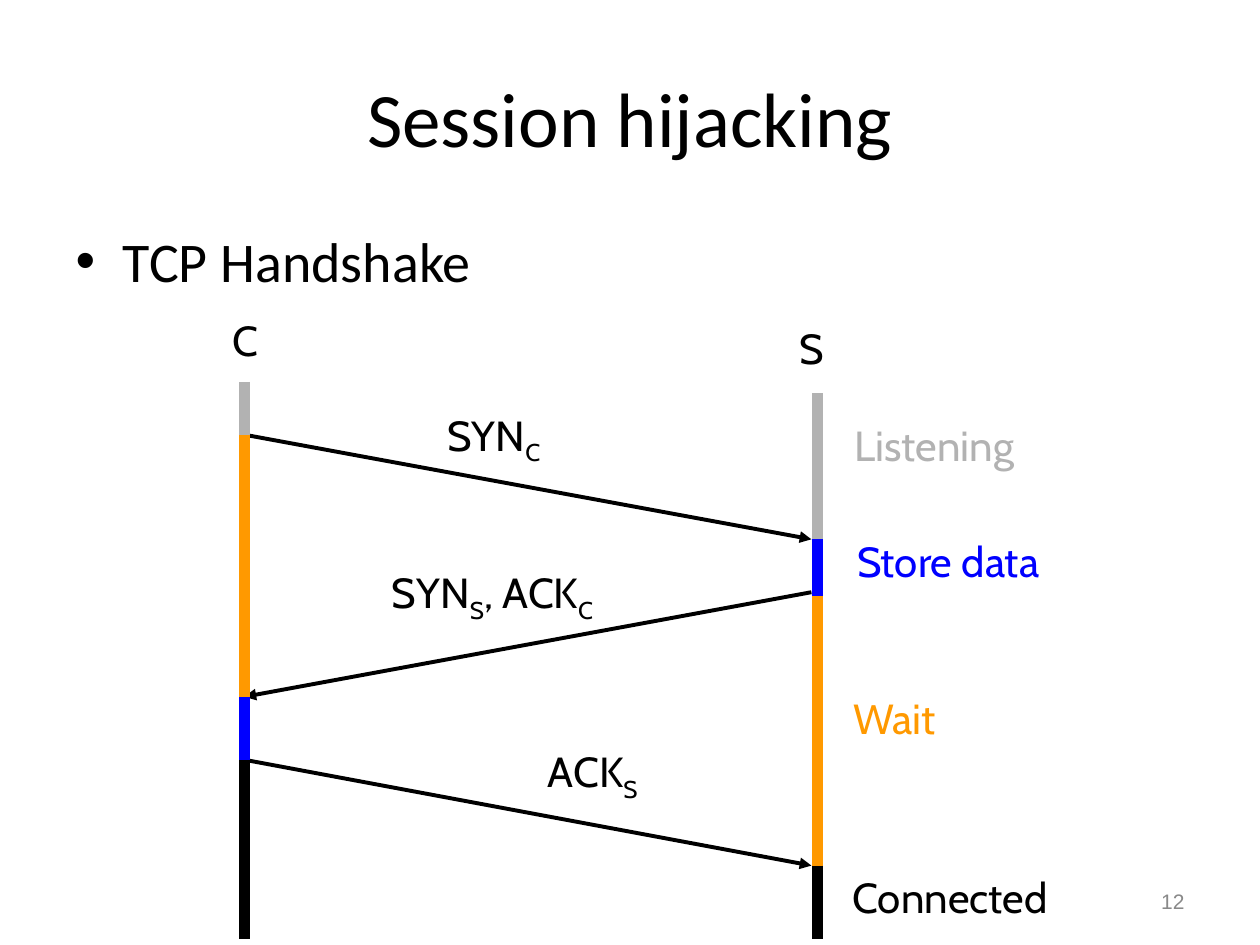
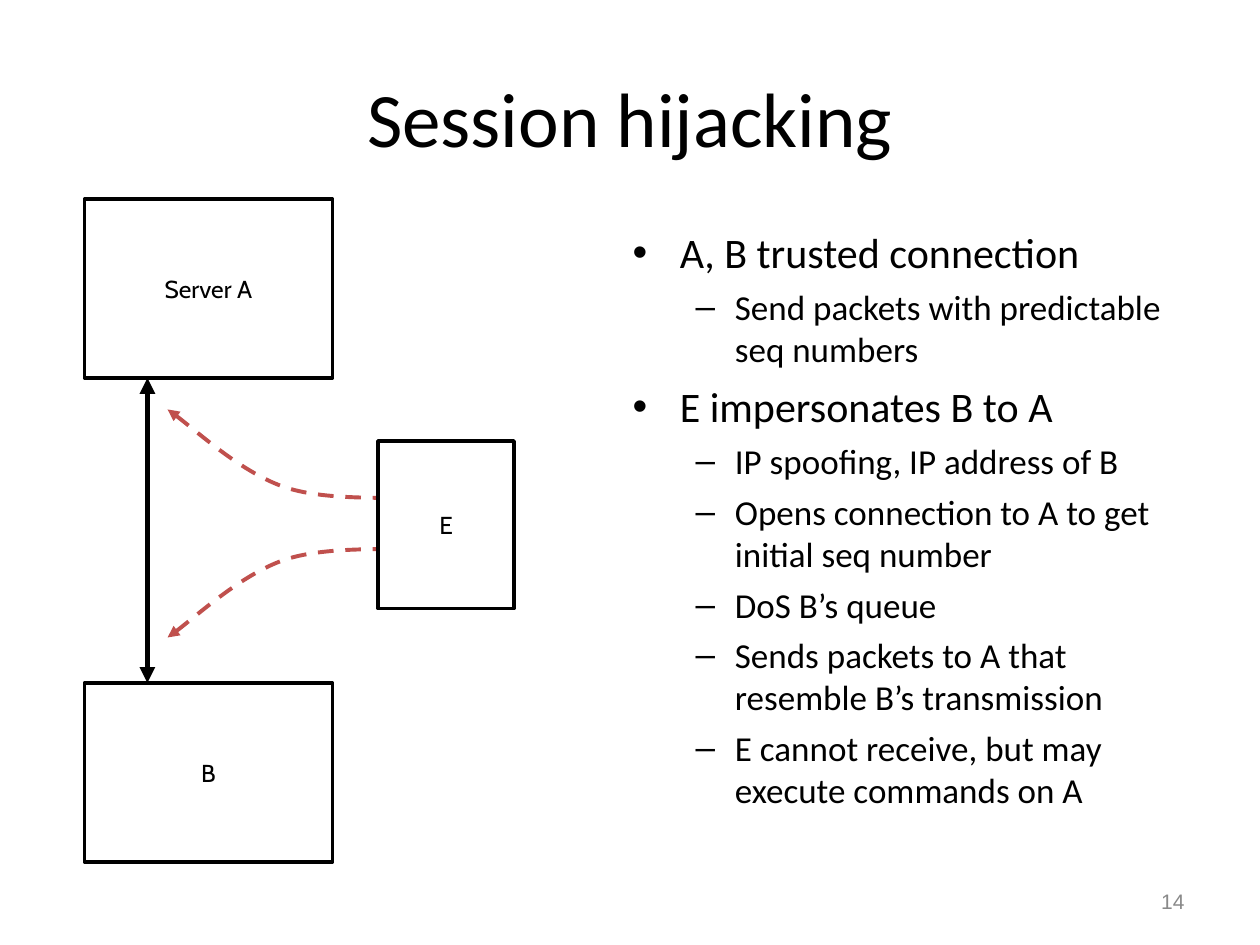
from lxml import etree
from pptx import Presentation
from pptx.dml import color as col
from pptx.enum import dml, shapes, text
from pptx.oxml import ns
from pptx.util import Inches, Pt

# Shared look; lengths are cells of a grid with 100 columns and 75 rows
WIDE, HIGH, CELL = 100, 75, 0.1
BLACK, WHITE, GREY = "000000", "FFFFFF", "898989"
IDLE, STORE, WAIT, RED = "B2B2B2", "0000FF", "FF9900", "C0504D"
HEAD, BODY, LABEL, FOOT = "Calibri", "Calibri", "Cabin", "Arial"
TITLE = (5, 3, 90, 12.5)
MID, LEFT, RIGHT = text.PP_ALIGN.CENTER, text.PP_ALIGN.LEFT, text.PP_ALIGN.RIGHT


def grid(*cells):
    return [Inches(round(c * CELL, 3)) for c in cells]


def rgb(code):
    return col.RGBColor.from_string(code)


def put(item, **vals):
    for key, val in vals.items():
        setattr(item, key, val)


def place(item, box):
    put(item, **dict(zip(("left", "top", "width", "height"), grid(*box))))


def style(run, size, face, code):
    put(run.font, size=Pt(size), name=face)
    run.font.color.rgb = rgb(code)


def write(para, words, size, face, code, align, gap=0):
    """Add the words; the letter after each underscore is a subscript."""
    put(para, alignment=align, space_before=Pt(gap))
    first, *rest = words.split("_")
    parts = [(first, False)]
    for part in rest:
        parts += [(part[0], True), (part[1:], False)]
    for part, low in parts:
        if part:
            run = para.add_run()
            run.text = part
            style(run, size, face, code)
            if low:
                run._r.get_or_add_rPr().set("baseline", "-25000")


def stroke(item, code, width, ends=(), dash=None):
    """Format a line; ends names its arrowheads, headEnd or tailEnd."""
    item.line.color.rgb = rgb(code)
    item.line.width = Pt(width)
    if dash:
        item.line.dash_style = dash
    props = item._element.spPr
    for end in ends:
        etree.SubElement(props.find(ns.qn("a:ln")), ns.qn("a:" + end), type="triangle")
    if props.find(ns.qn("a:effectLst")) is None:
        etree.SubElement(props, ns.qn("a:effectLst"))


def line(slide, start, stop, code, width, ends=()):
    item = slide.shapes.add_connector(
        shapes.MSO_CONNECTOR.STRAIGHT, *grid(*start, *stop))
    stroke(item, code, width, ends)


def label(slide, box, words, size=24, face=LABEL, code=BLACK, align=MID, gap=6):
    frame = slide.shapes.add_textbox(*grid(*box)).text_frame
    put(frame, word_wrap=False, vertical_anchor=text.MSO_ANCHOR.TOP)
    write(frame.paragraphs[0], words, size, face, code, align, gap)
    return frame


def block(slide, box, words):
    item = slide.shapes.add_shape(shapes.MSO_SHAPE.RECTANGLE, *grid(*box))
    item.shadow.inherit = False
    item.fill.solid()
    item.fill.fore_color.rgb = rgb(WHITE)
    stroke(item, BLACK, 2)
    put(item.text_frame, word_wrap=False, vertical_anchor=text.MSO_ANCHOR.MIDDLE)
    write(item.text_frame.paragraphs[0], words, 14, LABEL, BLACK, MID, 8.8)


def curve(slide, points):
    """Draw a dashed Bezier arrow whose head is at the first point."""
    spots = [grid(*p) for p in points]
    pen = slide.shapes.build_freeform(*spots[0])
    pen.add_line_segments(spots[1:], close=False)
    item = pen.convert_to_shape()
    item.shadow.inherit = False
    item.fill.background()
    stroke(item, RED, 2.25, ["headEnd"], dml.MSO_LINE.DASH)
    # Turn every three straight legs into one cubic leg
    track = item._element.spPr.find(".//" + ns.qn("a:path"))
    legs = track.findall(ns.qn("a:lnTo"))
    for i in range(0, len(legs), 3):
        bend = etree.SubElement(track, ns.qn("a:cubicBezTo"))
        for leg in legs[i:i + 3]:
            bend.append(leg[0])
            track.remove(leg)


def page(deck, number, box, items):
    """Add a slide with title, list and number; items are (level, words, size, gap)."""
    slide = deck.slides.add_slide(deck.slide_layouts[1])
    title, body = slide.shapes.title, slide.placeholders[1]
    place(title, TITLE)
    place(body, box)
    for item in (title, body):
        item.text_frame.auto_size = text.MSO_AUTO_SIZE.NONE
    write(title.text_frame.paragraphs[0], "Session hijacking", 44, HEAD, BLACK, MID)
    frame = body.text_frame
    for i, (level, words, size, gap) in enumerate(items):
        para = frame.add_paragraph() if i else frame.paragraphs[0]
        para.level = level
        write(para, words, size, BODY, BLACK, LEFT, gap)
    foot = label(slide, (71.7, 69.5, 23.3, 4), str(number), 12, FOOT, GREY, RIGHT, 0)
    put(foot, word_wrap=True, vertical_anchor=text.MSO_ANCHOR.MIDDLE)
    return slide


def shake(deck):
    slide = page(deck, 12, (5, 17.5, 90, 49.5), [(0, "TCP Handshake", 32, 8)])
    client, server, edge = 19.4, 64.9, 64.4

    # Messages
    for start, stop in (((client, 34.5), (edge, 42.8)),
                        ((client, 60.3), (edge, 68.7)),
                        ((edge, 47), (client, 55.3))):
        line(slide, start, stop, BLACK, 2.25, ["tailEnd"])
    for box, words in (((17.4, 24.5, 4.1, 5), "C"),
                       ((62.5, 25.1, 3.8, 5), "S"),
                       ((34.5, 32, 9.4, 5.6), "SYN_C"),
                       ((29.8, 44.5, 18.6, 5.6), "SYN_S, ACK_C"),
                       ((42.4, 58.7, 9.3, 5.6), "ACK_S")):
        label(slide, box, words)

    # State bars: row stops from top to bottom
    states = (IDLE, WAIT, STORE, BLACK), (IDLE, STORE, WAIT, BLACK)
    stops = (30.3, 34.5, 55.3, 60.3, 74.5), (31.2, 42.8, 47.3, 68.7, 74.5)
    for x, codes, rows in zip((client, server), states, stops):
        for code, top, end in zip(codes, rows, rows[1:]):
            line(slide, (x, top), (x, end), code, 6)

    # State names
    for box, words, code in (((66, 32.8, 16.3, 5), "Listening", IDLE),
                             ((66.2, 42, 18.1, 5), "Store data", STORE),
                             ((66.5, 54.5, 9, 5), "Wait", WAIT),
                             ((66, 68.7, 18.8, 5), "Connected", BLACK)):
        label(slide, box, words, code=code)


def spoof(deck):
    top, sub = (24, 6), (20, 5)
    slide = page(deck, 14, (49.2, 17.5, 45.8, 49.5), [
        (0, "A, B trusted connection", *top),
        (1, "Send packets with predictable seq numbers", *sub),
        (0, "E impersonates B to A", *top),
        (1, "IP spoofing, IP address of B", *sub),
        (1, "Opens connection to A to get initial seq number", *sub),
        (1, "DoS B’s queue", *sub),
        (1, "Sends packets to A that resemble B’s transmission", *sub),
        (1, "E cannot receive, but may execute commands on A", *sub)])

    # Trusted hosts and their link
    for y, words in ((15.8, "Server A"), (54.2, "B")):
        block(slide, (6.7, y, 19.7, 14.2), words)
    line(slide, (11.7, 30), (11.7, 54.2), BLACK, 3, ["headEnd", "tailEnd"])

    # Forged traffic: the lower curve mirrors the upper one
    upper = [(13.3, 32.5), (14.8, 33.5), (19.1, 37.4), (22.4, 38.6),
             (25.7, 39.8), (30.9, 39.4), (33.1, 39.6)]
    curve(slide, upper)
    curve(slide, [(x, 83.1 - y) for x, y in upper])
    block(slide, (30, 35, 10.8, 13.3), "E")


def main():
    deck = Presentation()
    deck.slide_width, deck.slide_height = grid(WIDE, HIGH)
    shake(deck)
    spoof(deck)
    deck.save("out.pptx")


if __name__ == "__main__":
    main()
